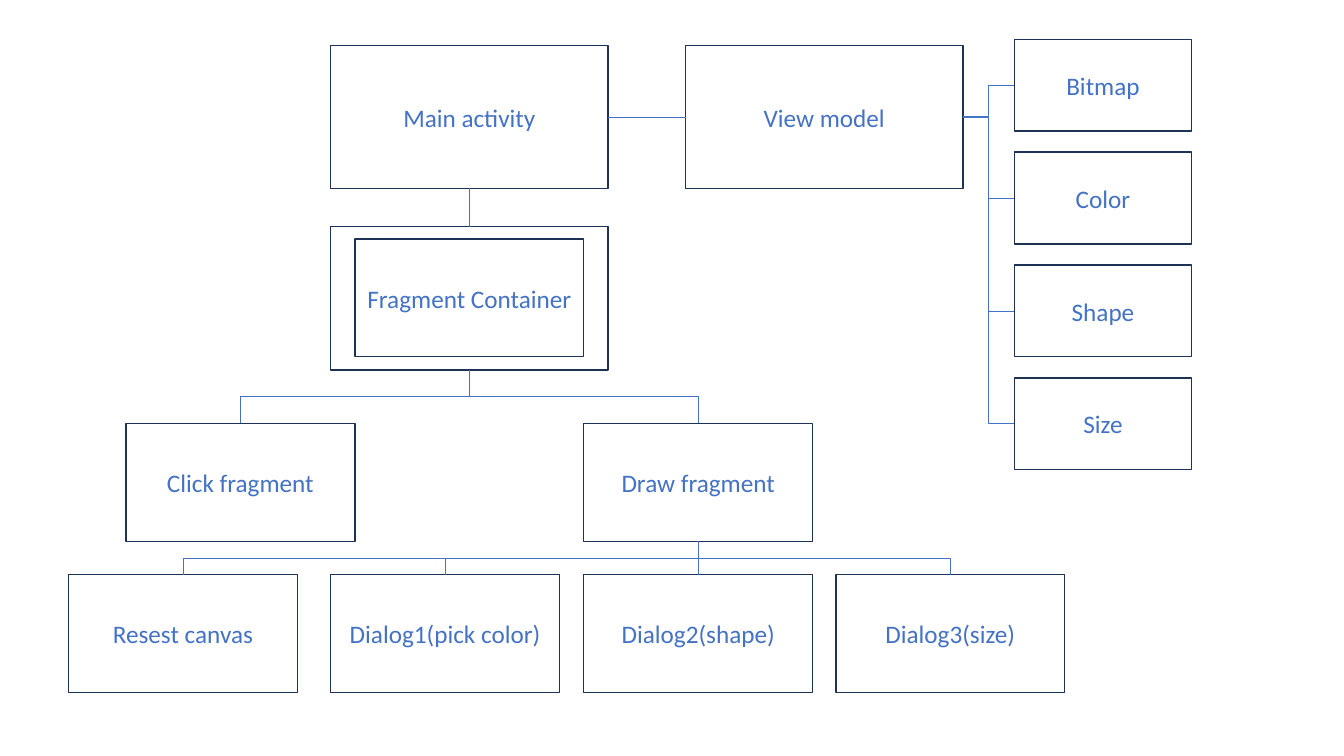
from dataclasses import dataclass

from lxml.etree import SubElement
from pptx import Presentation
from pptx.dml.color import RGBColor
from pptx.enum.shapes import MSO_CONNECTOR as Link, MSO_SHAPE as Preset
from pptx.enum.text import MSO_ANCHOR as Anchor, PP_ALIGN as Align
from pptx.oxml.ns import qn
from pptx.util import Inches, Pt

TOP, LEFT, BOTTOM, RIGHT = range(4)
MAIN_SIZE = (2.75, 1.42)
FRAGMENT_SIZE = (2.27, 1.17)
STATE_SIZE = (1.76, 0.91)


@dataclass(frozen=True)
class Theme:
    """Colours, font and sizes of the diagram."""
    accent: RGBColor = RGBColor(0x44, 0x72, 0xC4)
    border: RGBColor = RGBColor(0x1E, 0x32, 0x56)
    font: str = "Calibri"
    label_size: Pt = Pt(18)
    border_width: Pt = Pt(1)
    link_width: Pt = Pt(0.5)


THEME = Theme()


def add_box(slide, label, left, top, size):
    """Draw an outlined box with an optional centred label."""
    box = slide.shapes.add_shape(
        Preset.RECTANGLE, *(Inches(length) for length in (left, top, *size)))
    box.shadow.inherit = False
    box.fill.background()
    box.line.color.rgb = THEME.border
    box.line.width = THEME.border_width
    if label:
        frame = box.text_frame
        frame.word_wrap = True
        frame.vertical_anchor = Anchor.MIDDLE
        paragraph = frame.paragraphs[0]
        paragraph.alignment = Align.CENTER
        run = paragraph.add_run()
        run.text = label
        run.font.name = THEME.font
        run.font.size = THEME.label_size
        run.font.color.rgb = THEME.accent
    return box


def connect(slide, parent, child, sites, kind=Link.STRAIGHT):
    """Join two boxes at the given sites with a thin line."""
    link = slide.shapes.add_connector(kind, 0, 0, 0, 0)
    link.begin_connect(parent, sites[0])
    link.end_connect(child, sites[1])
    link.line.color.rgb = THEME.accent
    link.line.width = THEME.link_width
    SubElement(link.element.spPr, qn("a:effectLst"))
    return link


def connect_down(slide, parent, child):
    """Join a box to one below it, bending when they are not aligned."""
    sites = (BOTTOM, TOP)
    if parent.left + parent.width // 2 == child.left + child.width // 2:
        connect(slide, parent, child, sites)
        return
    link = connect(slide, parent, child, sites, Link.ELBOW)
    rightward = link.end_x > link.begin_x
    across, down = link.width, link.height
    link.left += (across - down) // 2
    link.top += (down - across) // 2
    link.width, link.height = down, across
    xfrm = link.element.spPr.find(qn("a:xfrm"))
    xfrm.set("rot", str((270 if rightward else 90) * 60000))
    xfrm.set("flipH", "1" if rightward else "0")


def main():
    """Build the app structure diagram."""
    deck = Presentation()
    deck.slide_width, deck.slide_height = Inches(13.33), Inches(7.5)
    slide = deck.slides.add_slide(deck.slide_layouts[6])

    activity = add_box(slide, "Main activity", 3.28, 0.45, MAIN_SIZE)
    view_model = add_box(slide, "View model", 6.8, 0.45, MAIN_SIZE)
    container = add_box(slide, "Fragment Container", 3.28, 2.25, MAIN_SIZE)
    add_box(slide, "", 3.52, 2.37, FRAGMENT_SIZE)
    connect(slide, activity, view_model, (RIGHT, LEFT))
    connect_down(slide, activity, container)

    click = add_box(slide, "Click fragment", 1.25, 4.2, FRAGMENT_SIZE)
    draw = add_box(slide, "Draw fragment", 5.79, 4.2, FRAGMENT_SIZE)
    for fragment in (click, draw):
        connect_down(slide, container, fragment)

    for label, left in (("Resest canvas", 0.68), ("Dialog1(pick color)", 3.28),
                        ("Dialog2(shape)", 5.79), ("Dialog3(size)", 8.29)):
        tool = add_box(slide, label, left, 5.7, FRAGMENT_SIZE)
        connect_down(slide, draw, tool)

    for row, label in enumerate(("Bitmap", "Color", "Shape", "Size")):
        state = add_box(slide, label, 10.06, 0.39 + 1.12 * row, STATE_SIZE)
        connect(slide, view_model, state, (RIGHT, LEFT), Link.ELBOW)

    deck.save("out.pptx")


if __name__ == "__main__":
    main()
